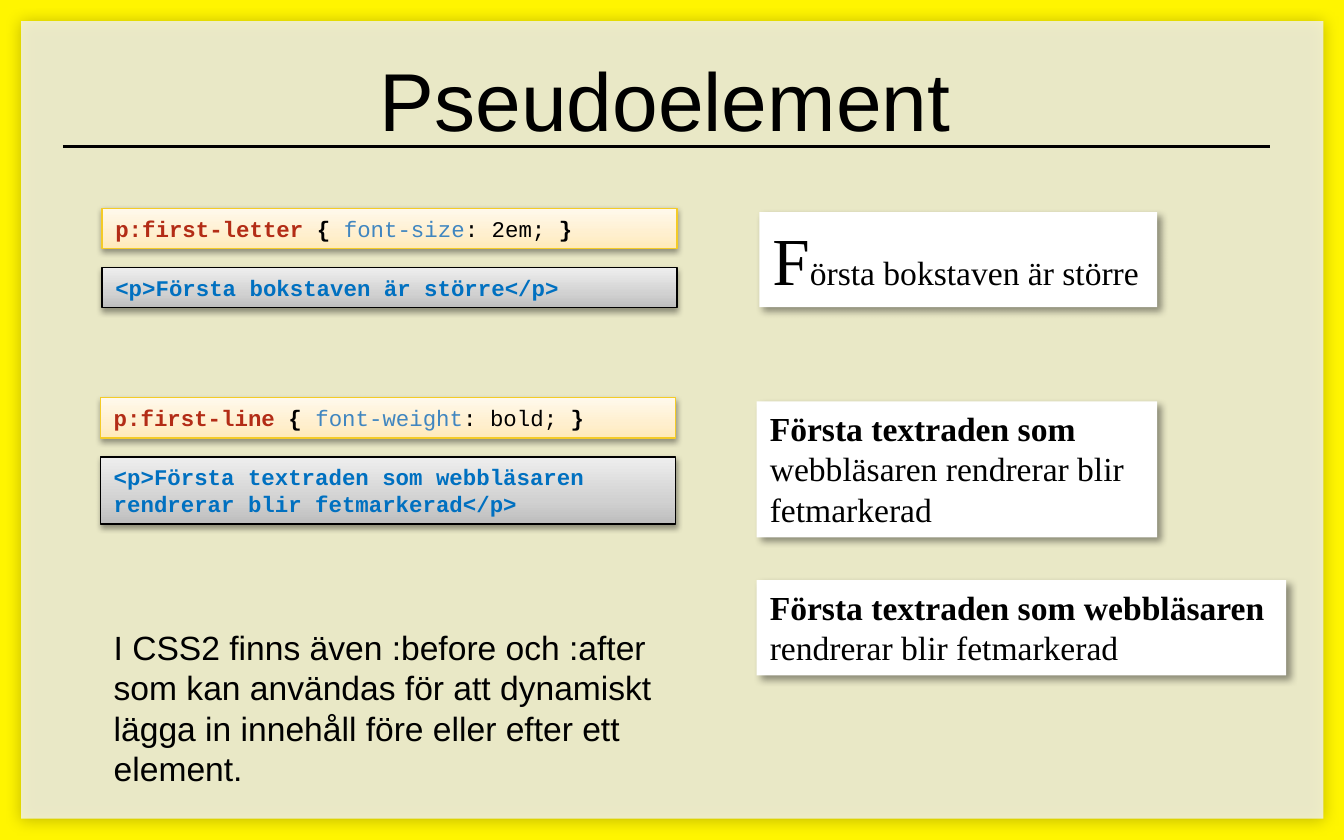
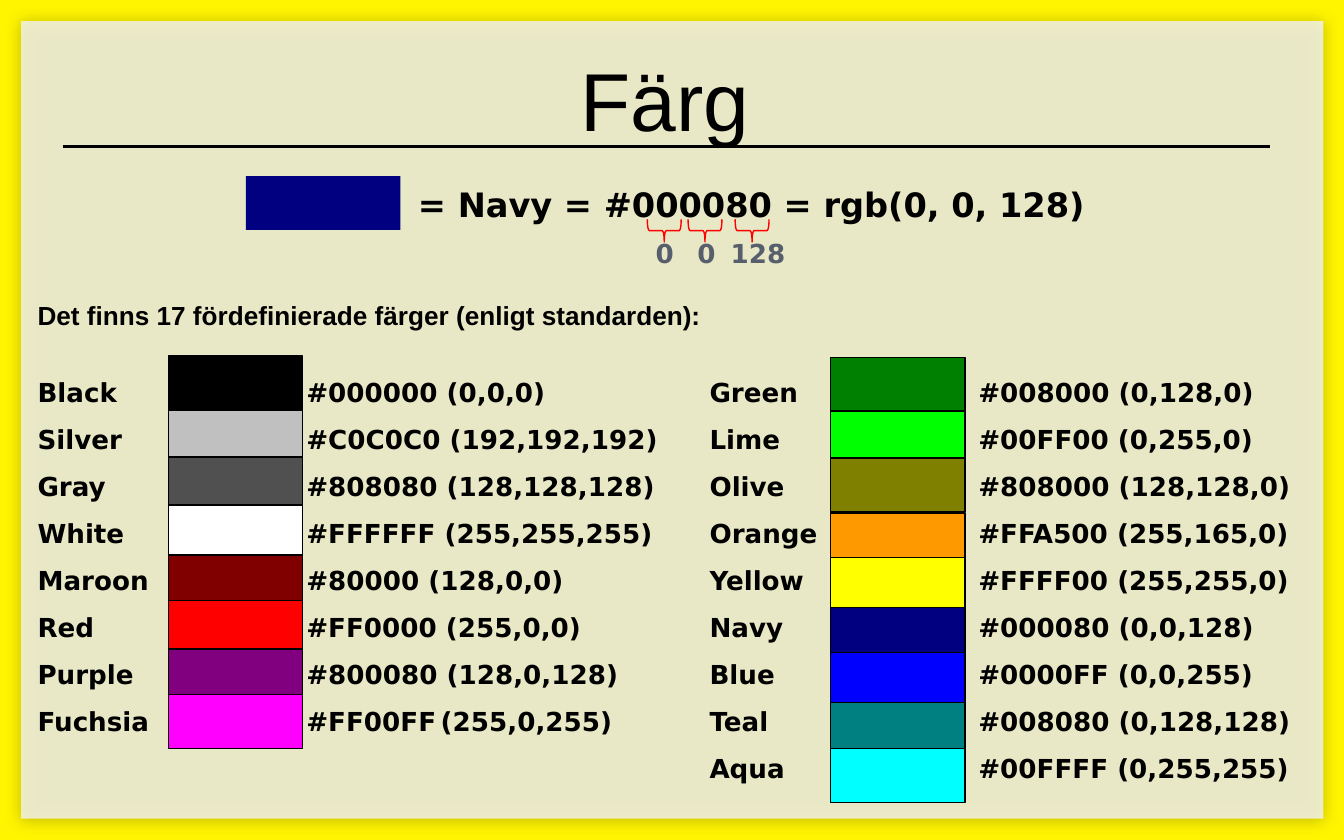
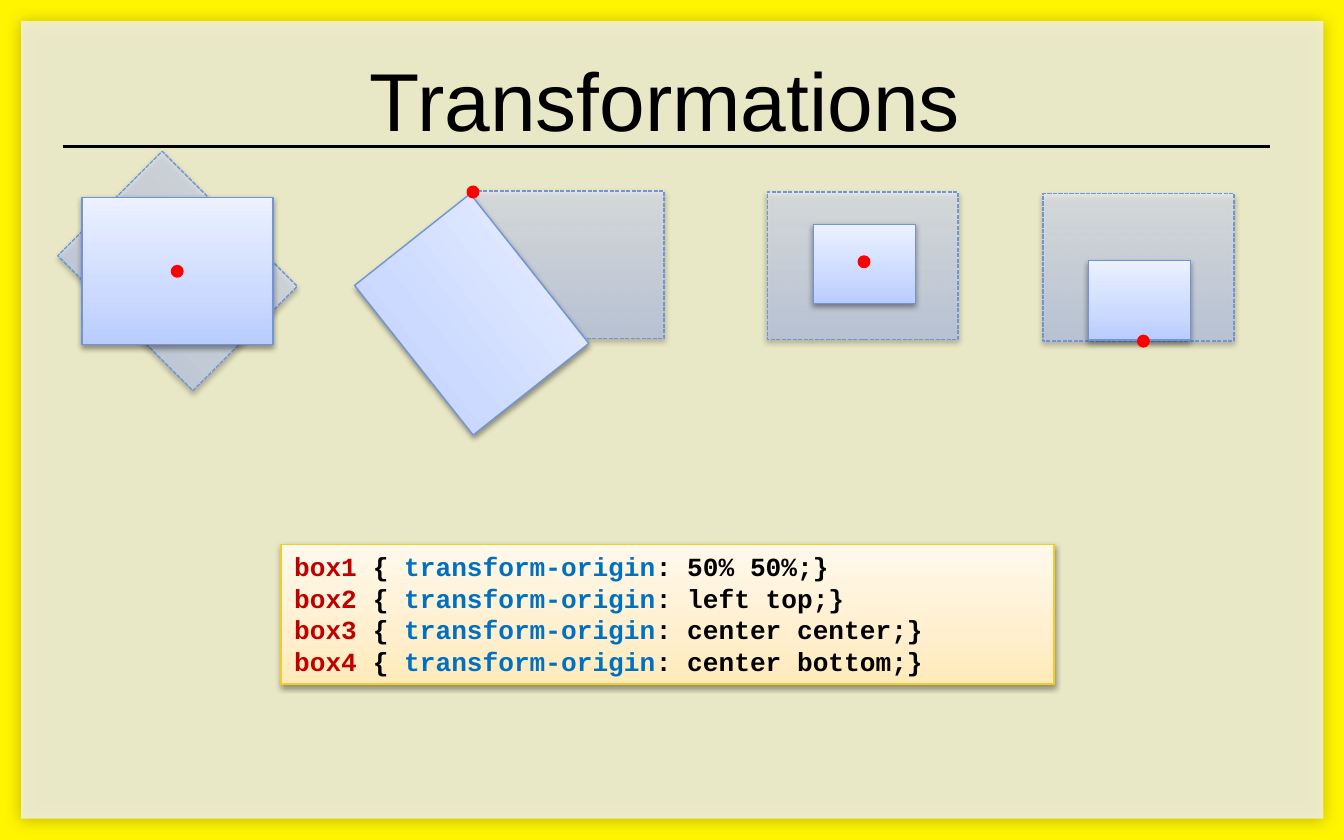
from lxml import etree
from pptx import Presentation
from pptx import util as u
from pptx.dml.color import RGBColor
from pptx.enum import dml, shapes, text
from pptx.oxml.ns import qn

colours = {
    "frame": "FFF500", "panel": "F2F2F2", "ink": "000000", "paper": "FFFFFF",
    "selector": "B32C16", "property": "4086C0", "html": "0070C0",
    "box name": "C00000", "number": "575F6D", "mark": "FF0000",
    "css line": "F4CB27", "figure line": "7094D7",
    "Black": "000000", "Silver": "C0C0C0", "Gray": "505050", "White": "FFFFFF",
    "Maroon": "800000", "Red": "FF0000", "Purple": "800080", "Fuchsia": "FF00FF",
    "Green": "008000", "Lime": "00FF00", "Olive": "808000", "Orange": "FF9900",
    "Yellow": "FFFF00", "Navy": "000080", "Blue": "0000FF", "Teal": "008080",
    "Aqua": "00FFFF",
}
# Gradient stops: position, colour, opacity (percent)
gradients = {
    "css": [(0, "FFEAB9", 100), (35, "FFEFCE", 100), (100, "FFF9EC", 100)],
    "grey": [(0, "BDBDBD", 100), (35, "D1D1D1", 100), (100, "EEEEEE", 100)],
    "figure": [(0, "B8CCFF", 100), (35, "CCDAFF", 100), (100, "EBF1FF", 100)],
    "ghost": [(0, "B8CCFF", 54), (35, "CCDAFF", 60), (100, "EBF1FF", 62)],
}
# Shadows: opacity (percent), blur and distance (points), direction (degrees)
shadows = {"panel": (28, 8, 1, 90), "soft": (38, 3.1, 1.6, 90), "page": (40, 4, 3, 45)}
preset = shapes.MSO_SHAPE


def add_box(page, kind, place, fill=None, line=None, shadow=None, weight=0.75):
    box = page.shapes.add_shape(kind, *[u.Cm(length) for length in place])
    if fill in gradients:
        box.fill.gradient()
        box.fill.gradient_angle = 90
        stops = box._element.spPr.find(qn("a:gradFill")).find(qn("a:gsLst"))
        stops.clear()
        for position, colour, opacity in gradients[fill]:
            stop = etree.SubElement(stops, qn("a:gs"), pos=str(position * 1000))
            tint = etree.SubElement(stop, qn("a:srgbClr"), val=colour)
            if opacity < 100:
                etree.SubElement(tint, qn("a:alpha"), val=str(opacity * 1000))
    elif fill:
        box.fill.solid()
        box.fill.fore_color.rgb = RGBColor.from_string(colours[fill])
    else:
        box.fill.background()
    if line:
        box.line.color.rgb = RGBColor.from_string(colours[line])
        box.line.width = u.Pt(weight)
    else:
        box.line.fill.background()
    box.shadow.inherit = False
    if shadow:
        opacity, blur, distance, angle = shadows[shadow]
        effects = box._element.spPr.find(qn("a:effectLst"))
        outer = etree.SubElement(effects, qn("a:outerShdw"), blurRad=str(u.Pt(blur)),
                                 dist=str(u.Pt(distance)), dir=str(angle * 60000),
                                 algn="ctr", rotWithShape="0")
        tint = etree.SubElement(outer, qn("a:srgbClr"), val=colours["ink"])
        etree.SubElement(tint, qn("a:alpha"), val=str(opacity * 1000))
    return box


def write(box, font, size, lines, wrap=True):
    """Each line is a list of (words, colour, bold[, size]) spans."""
    frame = box.text_frame
    frame.word_wrap = wrap
    frame.vertical_anchor = text.MSO_ANCHOR.TOP
    for number, line in enumerate(lines):
        para = frame.add_paragraph() if number else frame.paragraphs[0]
        para.alignment = text.PP_ALIGN.LEFT
        for words, colour, bold, *own_size in line:
            span = para.add_run()
            span.text = words
            span.font.name = font
            span.font.size = u.Pt(own_size[0] if own_size else size)
            span.font.bold = bold
            span.font.color.rgb = RGBColor.from_string(colours[colour])
    return frame


deck = Presentation()
deck.slide_width, deck.slide_height = u.Cm(25.4), u.Cm(15.88)

# Pages with their titles
pages = []
for heading in ("Pseudoelement", "Färg", "Transformations"):
    page = deck.slides.add_slide(deck.slide_layouts[5])
    title = page.shapes.title
    title.left, title.top = u.Cm(1.78), u.Cm(0.79)
    title.width, title.height = u.Cm(21.59), u.Cm(2.16)
    para = title.text_frame.paragraphs[0]
    para.alignment = text.PP_ALIGN.CENTER
    span = para.add_run()
    span.text = heading
    span.font.name = "Arial"
    span.font.size = u.Pt(44)
    span.font.color.rgb = RGBColor.from_string(colours["ink"])
    pages.append(page)
pseudo, colour_page, transforms = pages

# Yellow frame, panel and title rule, moved to the master
frame = add_box(pseudo, preset.RECTANGLE, (0, 0, 25.4, 15.88), "frame")
panel = add_box(pseudo, preset.RECTANGLE, (0.4, 0.4, 24.61, 15.08), "panel", shadow="panel")
tint = panel._element.spPr.find(qn("a:solidFill"))[0]
etree.SubElement(tint, qn("a:alpha"), val="82000")
rule = pseudo.shapes.add_connector(shapes.MSO_CONNECTOR.STRAIGHT,
                                   u.Cm(1.19), u.Cm(2.77), u.Cm(24), u.Cm(2.77))
rule.line.color.rgb = RGBColor.from_string(colours["ink"])
rule.line.width = u.Pt(1.5)
etree.SubElement(rule._element.spPr, qn("a:effectLst"))
master_title = deck.slide_master.shapes[0]._element
for number, part in enumerate((frame, panel, rule)):
    part._element.xpath(".//p:cNvPr")[0].set("id", str(100 + number))
    master_title.addprevious(part._element)

# Pseudo-elements: CSS rule above its HTML
examples = [
    (1.93, 3.94, 0.76, "p:first-letter ", "font-size", ": 2em; ",
     "<p>Första bokstaven är större</p>"),
    (1.9, 7.52, 1.27, "p:first-line ", "font-weight", ": bold; ",
     "<p>Första textraden som webbläsaren rendrerar blir fetmarkerad</p>"),
]
for left, top, html_height, selector, name, value, html in examples:
    box = add_box(pseudo, preset.RECTANGLE, (left, top, 10.87, 0.76), "css", "css line", "soft")
    write(box, "Courier New", 12, [[
        (selector, "selector", True), ("{ ", "ink", True), (name, "property", False),
        (value, "ink", False), ("}", "ink", True)]])
    box = add_box(pseudo, preset.RECTANGLE, (left, top + 1.12, 10.87, html_height),
                  "grey", "ink", "soft")
    write(box, "Courier New", 12, [[(html, "html", True)]])

# Pseudo-elements: rendered results
results = [
    ((14.35, 4.01, 7.52, 1.8),
     [("F", "ink", False, 36), ("örsta bokstaven är större", "ink", False)]),
    ((14.3, 7.59, 7.57, 2.57),
     [("Första textraden som ", "ink", True),
      ("webbläsaren rendrerar blir fetmarkerad", "ink", False)]),
    ((14.3, 10.97, 10.01, 1.8),
     [("Första textraden som webbläsaren ", "ink", True),
      ("rendrerar blir fetmarkerad", "ink", False)]),
]
for place, spans in results:
    box = add_box(pseudo, preset.RECTANGLE, place, "paper", shadow="page")
    write(box, "Times New Roman", 18, [spans])
note = pseudo.shapes.add_textbox(u.Cm(1.9), u.Cm(11.73), u.Cm(10.92), u.Cm(3.33))
write(note, "Arial", 18, [[(
    "I CSS2 finns även :before och :after som kan användas för att dynamiskt "
    "lägga in innehåll före eller efter ett element.", "ink", False)]])

# Colours: name, code and top of the swatch
left_colours = [
    ("Black", "#000000 (0,0,0)", 6.73),
    ("Silver", "#C0C0C0 (192,192,192)", 7.75),
    ("Gray", "#808080 (128,128,128)", 8.64),
    ("White", "#FFFFFF (255,255,255)", 9.55),
    ("Maroon", "#80000 (128,0,0)", 10.49),
    ("Red", "#FF0000 (255,0,0)", 11.35),
    ("Purple", "#800080 (128,0,128)", 12.27),
    ("Fuchsia", "#FF00FF\t(255,0,255)", 13.13),
]
right_colours = [
    ("Green", "#008000 (0,128,0)", 6.76),
    ("Lime", "#00FF00 (0,255,0)", 7.77),
    ("Olive", "#808000 (128,128,0)", 8.66),
    ("Orange", "#FFA500 (255,165,0)", 9.7),
    ("Yellow", "#FFFF00 (255,255,0)", 10.54),
    ("Navy", "#000080 (0,0,128)", 11.48),
    ("Blue", "#0000FF (0,0,255)", 12.34),
    ("Teal", "#008080 (0,128,128)", 13.28),
    ("Aqua", "#00FFFF (0,255,255)", 14.15),
]
rows = [f"{a}\t{a_code}\t{b}\t{b_code}"
        for (a, a_code, _), (b, b_code, _) in zip(left_colours, right_colours)]
rows.append("\t\t\t" + "\t".join(right_colours[-1][:2]))

# Colours: tabbed list
listing = colour_page.shapes.add_textbox(u.Cm(0.46), u.Cm(5.54), u.Cm(24.92), u.Cm(10.13))
lines = ["Det finns 17 fördefinierade färger (enligt standarden):"] + rows
listing_frame = write(listing, "DejaVu Sans", 14, [[(line, "ink", True)] for line in lines])
intro, *colour_rows = listing_frame.paragraphs
intro.runs[0].font.name = "Arial"
for para in colour_rows:
    para.line_spacing = 1.5
    tabs = etree.SubElement(para._p.get_or_add_pPr(), qn("a:tabLst"))
    for stop in (5.08, 7.62, 12.7, 17.78):
        etree.SubElement(tabs, qn("a:tab"), pos=str(u.Cm(stop)), algn="l")
colour_rows[0].space_before = u.Pt(16)

# Colours: swatches
for left, column in ((3.18, left_colours), (15.7, right_colours)):
    for name, _, top in column:
        height = 0.89 if name == "Orange" else 1.02
        add_box(colour_page, preset.RECTANGLE, (left, top, 2.54, height), name, "ink")

# Colours: the Navy notation explained
add_box(colour_page, preset.RECTANGLE, (4.65, 3.33, 2.92, 1.02), "Navy")
notation = colour_page.shapes.add_textbox(u.Cm(7.65), u.Cm(3.35), u.Cm(13.44), u.Cm(1.02))
write(notation, "DejaVu Sans", 18, [[("= Navy = #000080 = rgb(0, 0, 128)", "ink", True)]])
for brace_left, label_left, label_width, number in (
        (12.34, 12.14, 0.86, "0"), (13.11, 12.93, 0.86, "0"), (14, 13.56, 1.57, "128")):
    brace = add_box(colour_page, preset.LEFT_BRACE, (brace_left, 4.04, 0.43, 0.64), line="mark")
    brace.rotation = 270
    label = colour_page.shapes.add_textbox(u.Cm(label_left), u.Cm(4.37),
                                           u.Cm(label_width), u.Cm(0.86))
    write(label, "DejaVu Sans", 14, [[(number, "number", True)]], wrap=False)

# Transformations: dashed ghost, solid result and red origin
full, small = (3.61, 2.79), (1.93, 1.5)
figures = [
    ((1.55, 3.73), 45, (1.55, 3.73), full, 0, (3.25, 5.03)),
    ((8.94, 3.61), 0, (7.11, 4.55), full, 51.6, (8.84, 3.53)),
    ((14.5, 3.63), 0, (15.37, 4.24), small, 0, (16.23, 4.85)),
    ((19.71, 3.66), 0, (20.57, 4.93), small, 0, (21.51, 6.35)),
]
for ghost_at, ghost_turn, result_at, result_size, result_turn, origin_at in figures:
    ghost = add_box(transforms, preset.RECTANGLE, ghost_at + full, "ghost", "figure line", "soft")
    ghost.line.dash_style = dml.MSO_LINE.SQUARE_DOT
    ghost.rotation = ghost_turn
    result = add_box(transforms, preset.RECTANGLE, result_at + result_size,
                     "figure", "figure line", "soft")
    result.rotation = result_turn
    add_box(transforms, preset.OVAL, origin_at + (0.2, 0.2), "mark", "mark", weight=1.25)

# Transformations: code
code = add_box(transforms, preset.RECTANGLE, (5.31, 10.29, 14.61, 2.64), "css", "css line", "soft")
origins = ["50% 50%", "left top", "center center", "center bottom"]
write(code, "Courier New", 14, [
    [(f"box{number} ", "box name", True), ("{ ", "ink", True),
     ("transform-origin", "html", True), (f": {origin};}}", "ink", True)]
    for number, origin in enumerate(origins, 1)])

deck.save("out.pptx")
